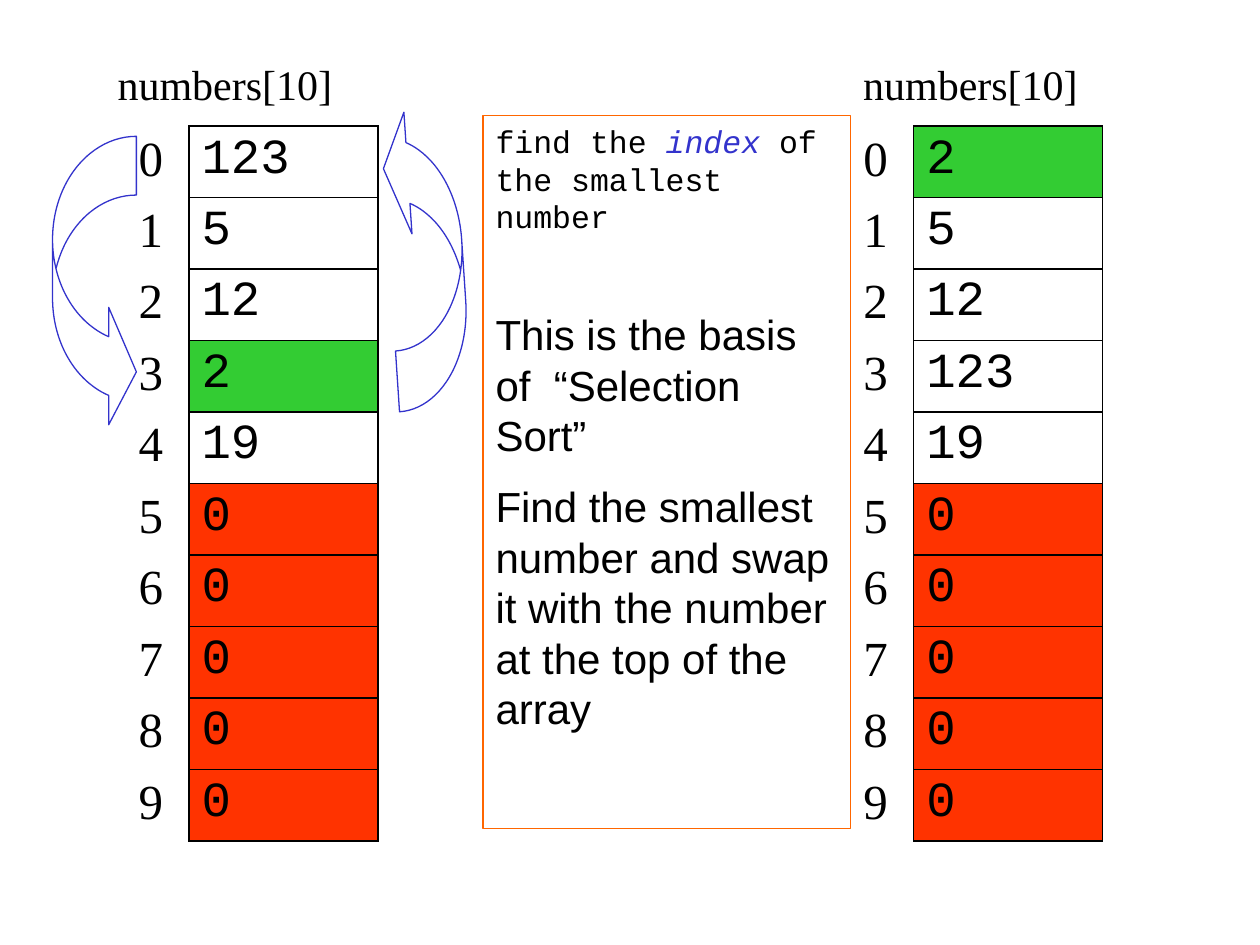
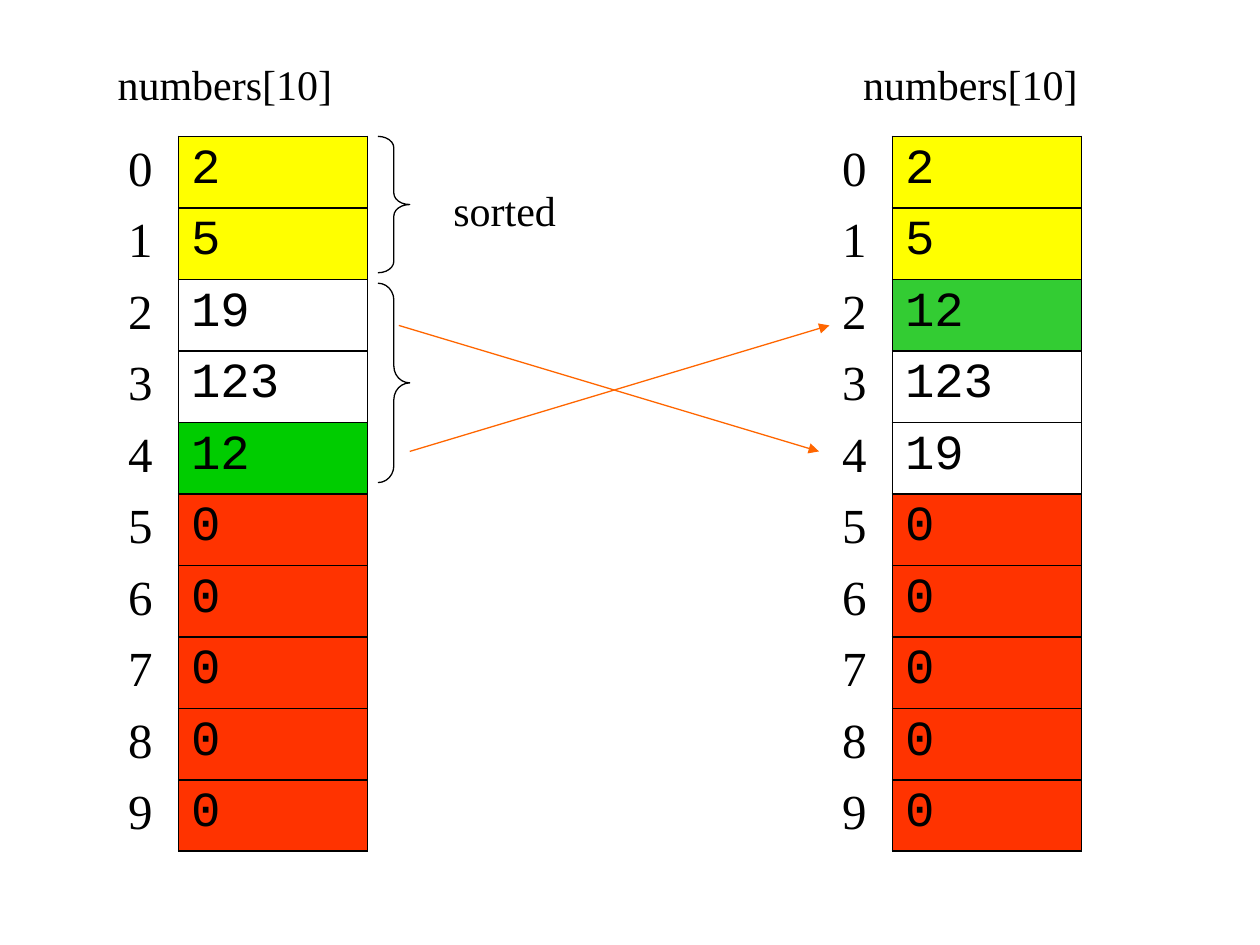
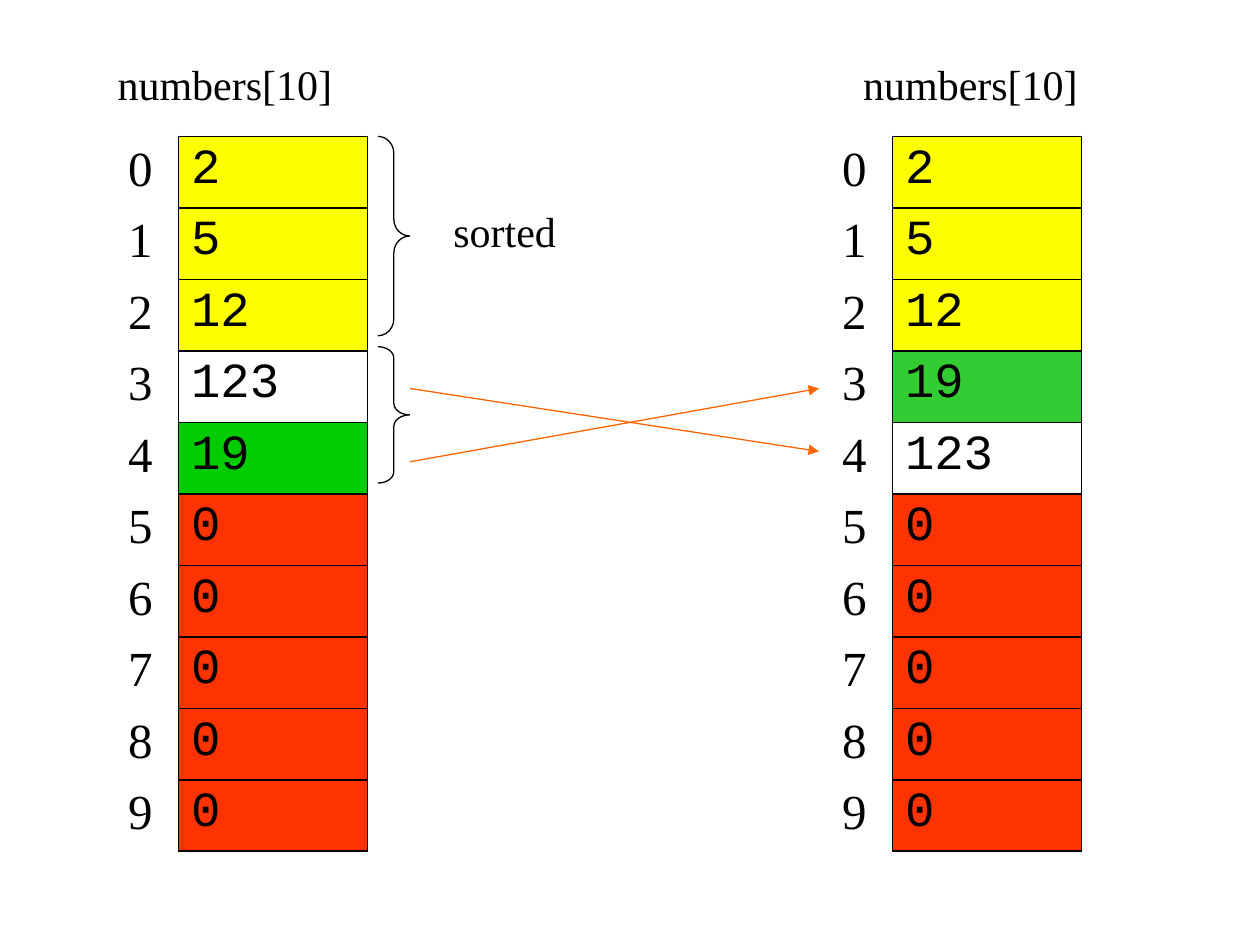
"""Three slides that show selection sort on an array of ten numbers."""
import pptx
import pptx.dml.color
import pptx.enum.shapes
import pptx.enum.text
import pptx.oxml.ns
import pptx.util
from lxml import etree

Cm = pptx.util.Cm
Pt = pptx.util.Pt
RGB = pptx.dml.color.RGBColor.from_string
qn = pptx.oxml.ns.qn
SHAPES = pptx.enum.shapes.MSO_SHAPE

COLORS = {
    "text": "000000",
    "smallest": "00CC00",
    "placed": "33CC33",
    "unused": "FF3300",
    "sorted": "FFFF00",
    "accent": "FF6600",
    "swap": "3333CC",
}
SERIF, MONO, SANS = "Times New Roman", "Courier New", "Arial"
ROW_HEIGHT = 1.44
COLUMN_WIDTHS = (1.27, 3.81)
CAPACITY = 10


def style_font(font, name, size, color="text"):
    font.name = name
    font.size = Pt(size)
    font.color.rgb = RGB(COLORS[color])


def add_outline(slide, kind, box, adjustments, color):
    shape = slide.shapes.add_shape(kind, *[Cm(length) for length in box])
    shape.shadow.inherit = False
    shape.fill.background()
    shape.line.color.rgb = RGB(COLORS[color])
    shape.line.width = Pt(0.75)
    for index, value in enumerate(adjustments):
        shape.adjustments[index] = value
    return shape


SLIDES = [
    {
        "top": 2.54,
        "arrays": [
            (2.54, [123, 5, 12, 2, 19], {3: "placed"}),
            (17.15, [2, 5, 12, 123, 19], {0: "placed"}),
        ],
        "labels": [],
        "braces": [],
        "arrows": [],
    },
    {
        "top": 2.75,
        "arrays": [
            (2.33, [2, 5, 19, 123, 12], {0: "sorted", 1: "sorted", 4: "smallest"}),
            (16.72, [2, 5, 12, 123, 19], {0: "sorted", 1: "sorted", 2: "placed"}),
        ],
        "labels": [("sorted", 8.89, 3.6, 2.96)],
        "braces": [(2.75, 2.75, 0.36), (5.71, 4.02, 0.53)],
        "arrows": [(8.26, 9.1, 16.72, 6.56), (8.04, 6.56, 16.51, 9.1)],
    },
    {
        "top": 2.75,
        "arrays": [
            (2.33, [2, 5, 12, 123, 19],
             {0: "sorted", 1: "sorted", 2: "sorted", 4: "smallest"}),
            (16.72, [2, 5, 12, 19, 123],
             {0: "sorted", 1: "sorted", 2: "sorted", 3: "placed"}),
        ],
        "labels": [("sorted", 8.89, 4.02, 2.96)],
        "braces": [(2.75, 4.02, 0.53), (6.99, 2.75, 0.36)],
        "arrows": [(8.26, 9.31, 16.51, 7.83), (8.26, 7.83, 16.51, 9.1)],
    },
]
ARRAY_TITLES = [("numbers[10]", left, 1.06, 5.5) for left in (2.12, 17.15)]

presentation = pptx.Presentation()
presentation.slide_width = Cm(25.4)
presentation.slide_height = Cm(19.05)

for content in SLIDES:
    slide = presentation.slides.add_slide(presentation.slide_layouts[6])

    for text, left, top, width in ARRAY_TITLES + content["labels"]:
        label = slide.shapes.add_textbox(Cm(left), Cm(top), Cm(width), Cm(1.27))
        label.text_frame.word_wrap = True
        paragraph = label.text_frame.paragraphs[0]
        paragraph.text = text
        style_font(paragraph.font, SERIF, 24)

    for left, values, highlights in content["arrays"]:
        table = slide.shapes.add_table(
            CAPACITY, 2, Cm(left), Cm(content["top"]),
            Cm(sum(COLUMN_WIDTHS)), Cm(CAPACITY * ROW_HEIGHT)).table
        table.first_row = False
        table.horz_banding = False
        for column, width in zip(table.columns, COLUMN_WIDTHS):
            column.width = Cm(width)
        padded = values + [0] * (CAPACITY - len(values))
        for index, value in enumerate(padded):
            table.rows[index].height = Cm(ROW_HEIGHT)
            fill_name = "unused" if index >= len(values) else highlights.get(index)
            cells = [(index, SERIF, ["lnR"], None),
                     (value, MONO, ["lnL", "lnR", "lnT", "lnB"], fill_name)]
            for column, (number, font_name, borders, color) in enumerate(cells):
                cell = table.cell(index, column)
                paragraph = cell.text_frame.paragraphs[0]
                paragraph.text = str(number)
                style_font(paragraph.font, font_name, 28)
                properties = cell._tc.get_or_add_tcPr()
                for border in borders:
                    line = etree.SubElement(properties, qn("a:" + border), w=str(Pt(1)))
                    solid = etree.SubElement(line, qn("a:solidFill"))
                    etree.SubElement(solid, qn("a:srgbClr"), val=COLORS["text"])
                if color:
                    cell.fill.solid()
                    cell.fill.fore_color.rgb = RGB(COLORS[color])
                else:
                    cell.fill.background()

    for top, height, curve in content["braces"]:
        add_outline(slide, SHAPES.RIGHT_BRACE, (7.62, top, 0.64, height),
                    (curve, 0.5), "text")

    for ends in content["arrows"]:
        arrow = slide.shapes.add_connector(
            pptx.enum.shapes.MSO_CONNECTOR.STRAIGHT, *[Cm(length) for length in ends])
        arrow.line.color.rgb = RGB(COLORS["accent"])
        arrow.line.width = Pt(0.75)
        etree.SubElement(arrow.line._get_or_add_ln(), qn("a:tailEnd"), type="triangle")
        etree.SubElement(arrow._element.spPr, qn("a:effectLst"))

slide = presentation.slides[0]
explanation = add_outline(slide, SHAPES.RECTANGLE, (9.74, 2.33, 7.41, 14.38), (), "accent")
frame = explanation.text_frame
frame.word_wrap = True
frame.vertical_anchor = pptx.enum.text.MSO_ANCHOR.TOP
paragraph = frame.paragraphs[0]
paragraph.alignment = pptx.enum.text.PP_ALIGN.LEFT
for text, color in [("find the ", "text"), ("index", "swap"),
                    (" of the smallest number", "text")]:
    run = paragraph.add_run()
    run.text = text
    style_font(run.font, MONO, 18, color)
    run.font.italic = color == "swap"
for text, gap in [
    ("This is the basis of  “Selection Sort”", 42),
    ("Find the smallest number and swap it with the number at the top of the array", 12),
]:
    paragraph = frame.add_paragraph()
    paragraph.text = text
    paragraph.alignment = pptx.enum.text.PP_ALIGN.LEFT
    paragraph.space_before = Pt(gap)
    style_font(paragraph.font, SANS, 24)

add_outline(slide, SHAPES.CURVED_RIGHT_ARROW, (1.06, 2.75, 1.69, 5.93),
            (0.7, 1.4, 0.33), "swap")
upward_arrow = add_outline(slide, SHAPES.CURVED_LEFT_ARROW, (7.85, 2.12, 1.48, 6.14),
                           (0.83, 1.66, 0.33), "swap")
upward_arrow.rotation = 176.2
upward_arrow._element.spPr.xfrm.set("flipH", "1")

presentation.save("out.pptx")
